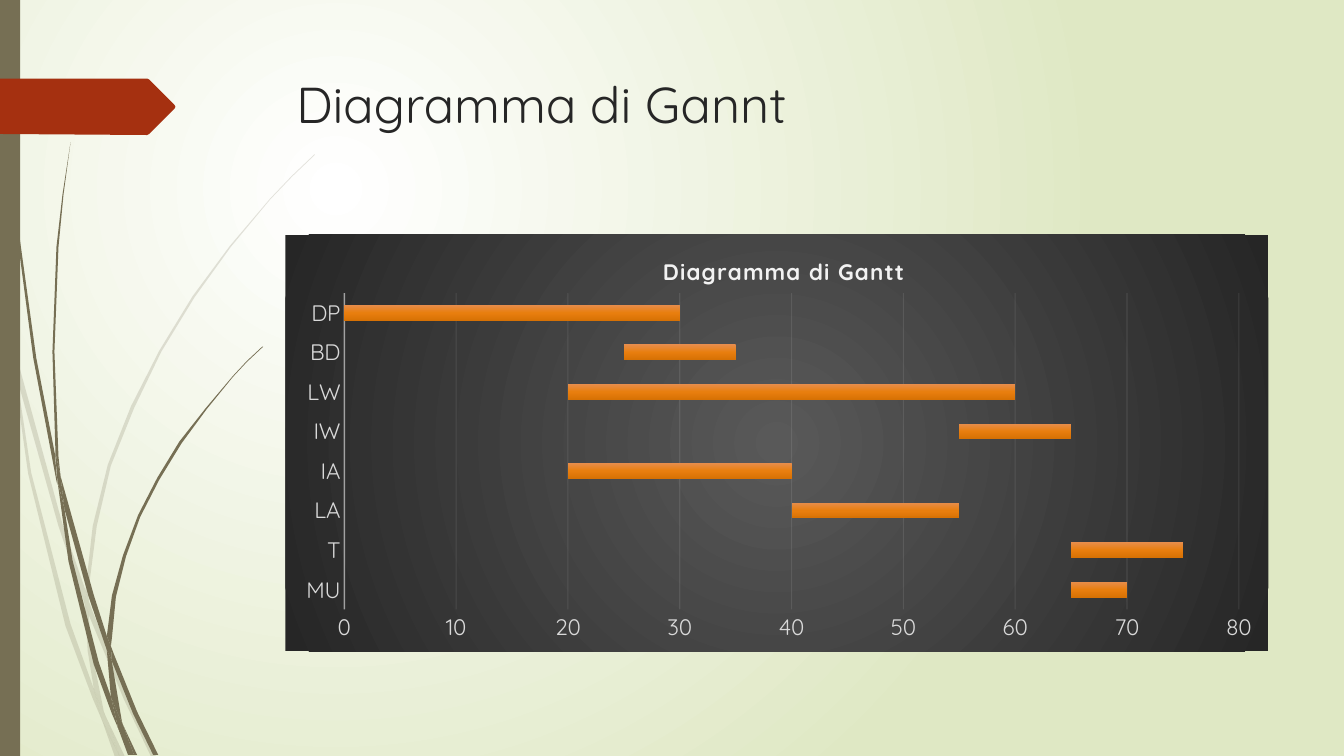
import dataclasses

import pptx
import pptx.chart.data
import pptx.dml.color
import pptx.enum.chart
import pptx.enum.shapes
import pptx.enum.text
import pptx.oxml
import pptx.oxml.ns
import pptx.util
from pptx.util import Inches


@dataclasses.dataclass(frozen=True)
class Theme:
    """Colours, font and type sizes of the slide."""
    font: str = "Quicksand"
    title_size: int = 36
    chart_size: int = 16
    title_ink: str = "262626"
    stem: str = "766F54"
    accent: str = "A53010"
    chart_title: str = "F2F2F2"
    axis_label: str = "D9D9D9"
    background: tuple = ((0, "FFFFFF"), (100, "DFE8C4"))
    chart_area: tuple = ((0, "595959"), (100, "262626"))
    bar: tuple = ((0, "E78D4D"), (50, "E87E0E"), (100, "D77104"))


THEME = Theme()

PALE_GRASS = [
    [(0.11, 3.5), (0.09, 3.22), (0, 2.82), (0, 2.99), (0.1, 3.44)],
    [(0.58, 5.22), (0.84, 5.99), (0.85, 5.86), (0.62, 5.2), (0.14, 3.45), (0.17, 3.76)],
    [(0.92, 6.07), (0.88, 5.96), (0.88, 6.1), (1.23, 6.94), (1.5, 7.51), (1.55, 7.51),
     (1.27, 6.92)],
    [(1.19, 7.51), (1.24, 7.51), (1.05, 7.11)],
    [(0.93, 6.83), (0.7, 6.19), (0.31, 4.69), (0.17, 3.76), (0.11, 3.5), (0.28, 4.7),
     (0.65, 6.21), (0.92, 6.93), (1.01, 7.14), (0.99, 7.07)],
    [(0.84, 5.99), (0.87, 6.46), (0.93, 6.83), (0.96, 6.92), (1.05, 7.11), (1.03, 7.06),
     (0.91, 6.46), (0.88, 6.1), (0.88, 6.08)],
    [(0.88, 5.84), (0.96, 5.22), (1.1, 4.62), (1.33, 4.05), (1.6, 3.49), (1.93, 2.95),
     (2.29, 2.45), (2.68, 1.98), (2.9, 1.75), (3.12, 1.54), (3.12, 1.53), (2.89, 1.75),
     (2.68, 1.97), (2.28, 2.44), (1.91, 2.94), (1.58, 3.48), (1.3, 4.03), (1.07, 4.61),
     (0.92, 5.22), (0.85, 5.84), (0.85, 5.86), (0.88, 5.96)],
    [(1.01, 7.14), (1.14, 7.51), (1.19, 7.51)],
    [(0.88, 6.08), (0.88, 6.1), (0.88, 5.96), (0.85, 5.86), (0.84, 5.99)],
    [(0.96, 6.92), (0.93, 6.83), (0.99, 7.07), (1.01, 7.14), (1.19, 7.51), (1.05, 7.11)],
]

DARK_GRASS = [
    [(0.07, 1.1), (0.17, 2.33), (0.33, 3.55), (0.56, 4.77), (0.57, 4.81), (0.55, 4.57),
     (0.55, 4.53), (0.36, 3.55), (0.19, 2.32), (0.08, 1.09), (0.05, 0.48), (0.04, 0),
     (0.03, 0), (0.04, 0.48)],
    [(0.88, 5.92), (1.06, 6.45), (1.06, 6.33), (1.06, 6.31), (0.93, 5.9), (0.6, 4.72),
     (0.64, 5.05)],
    [(1.13, 6.49), (1.1, 6.41), (1.11, 6.56), (1.32, 7.08), (1.52, 7.49), (1.57, 7.49),
     (1.36, 7.06)],
    [(1.1, 6.91), (0.98, 6.57), (0.72, 5.56), (0.64, 5.05), (0.57, 4.77), (0.68, 5.57),
     (0.93, 6.59), (1.11, 7.08), (1.17, 7.22), (1.16, 7.17)],
    [(0.6, 4.72), (0.58, 4.53), (0.54, 3.49), (0.58, 2.45), (0.63, 1.93), (0.7, 1.41),
     (0.62, 1.93), (0.56, 2.45), (0.52, 3.49), (0.55, 4.49)],
    [(1.33, 7.49), (1.36, 7.49), (1.22, 7.19)],
    [(0.57, 4.77), (0.64, 5.05), (0.6, 4.72), (0.55, 4.49), (0.55, 4.53)],
    [(1.11, 6.33), (1.15, 5.92), (1.25, 5.52), (1.39, 5.13), (1.58, 4.76), (1.8, 4.4),
     (2.05, 4.06), (2.31, 3.74), (2.45, 3.59), (2.61, 3.44), (2.6, 3.44), (2.45, 3.58),
     (2.31, 3.73), (2.04, 4.05), (1.78, 4.38), (1.56, 4.74), (1.37, 5.11), (1.22, 5.51),
     (1.11, 5.91), (1.06, 6.31), (1.1, 6.41)],
    [(1.17, 7.22), (1.27, 7.49), (1.31, 7.49)],
    [(1.06, 6.45), (1.1, 6.91), (1.16, 7.06), (1.22, 7.19), (1.21, 7.16), (1.11, 6.56),
     (1.09, 6.51)],
    [(1.06, 6.45), (1.09, 6.51), (1.11, 6.56), (1.1, 6.41), (1.06, 6.31), (1.06, 6.33)],
    [(1.16, 7.06), (1.1, 6.91), (1.16, 7.17), (1.17, 7.22), (1.3, 7.49), (1.33, 7.49),
     (1.22, 7.19)],
]

TITLE_ARROW = [(0, 0.78), (1.46, 0.78), (1.48, 0.79), (1.73, 1.04), (1.74, 1.06),
               (1.73, 1.08), (1.48, 1.33), (1.46, 1.34), (0, 1.33)]

TASKS = [("MU", 65, 5), ("T", 65, 10), ("LA", 40, 15), ("IA", 20, 20),
         ("IW", 55, 10), ("LW", 20, 40), ("BD", 25, 10), ("DP", 0, 30)]


def rgb(colour):
    """Return the colour object for a hex string."""
    return pptx.dml.color.RGBColor.from_string(colour)


def set_font(font, size, colour, bold=False):
    """Format a font in the theme's typeface."""
    font.name, font.size, font.bold = THEME.font, pptx.util.Pt(size), bold
    font.color.rgb = rgb(colour)


def set_alpha(colour_element, percent):
    """Make a colour partly transparent."""
    alpha = pptx.oxml.parse_xml(
        f'<a:alpha {pptx.oxml.ns.nsdecls("a")} val="{percent * 1000}"/>')
    colour_element.append(alpha)


def gradient(stops, direction):
    """Build a gradient fill from stops and a direction element."""
    stop_xml = "".join(f'<a:gs pos="{position * 1000}"><a:srgbClr val="{colour}"/></a:gs>'
                       for position, colour in stops)
    return pptx.oxml.parse_xml(f'<a:gradFill {pptx.oxml.ns.nsdecls("a")} rotWithShape="1">'
                               f'<a:gsLst>{stop_xml}</a:gsLst>{direction}</a:gradFill>')


def radial(left, top, right, bottom):
    """Describe a circular gradient by its focus rectangle in percent."""
    return (f'<a:path path="circle"><a:fillToRect l="{left * 1000}" t="{top * 1000}" '
            f'r="{right * 1000}" b="{bottom * 1000}"/></a:path>')


def replace_gradient(root, fill):
    """Swap the first gradient under an element for another one."""
    current = root.xpath(".//a:gradFill")[0]
    current.getparent().replace(current, fill)


def paint(shape, colour):
    """Give a shape a flat fill with no line or shadow."""
    shape.shadow.inherit = False
    shape.line.fill.background()
    shape.fill.solid()
    shape.fill.fore_color.rgb = rgb(colour)


def add_outline(shapes, points, colour):
    """Draw a filled polygon through points given in inches."""
    corners = [(Inches(x), Inches(y)) for x, y in points]
    builder = shapes.build_freeform(*corners[0])
    builder.add_line_segments(corners[1:], close=True)
    shape = builder.convert_to_shape()
    paint(shape, colour)
    return shape


def add_grass(slide, blades, opacity=100):
    """Draw a group of grass blades."""
    group = slide.shapes.add_group_shape()
    for points in blades:
        blade = add_outline(group.shapes, points, THEME.stem)
        if opacity < 100:
            set_alpha(blade.element.xpath(".//a:solidFill/a:srgbClr")[0], opacity)


def add_title(slide, text):
    """Place and format the slide title."""
    title = slide.shapes.title
    title.left, title.top, title.width, title.height = map(Inches, (2.84, 0.68, 9.75, 1.4))
    frame = title.text_frame
    frame.text = text
    frame.vertical_anchor = pptx.enum.text.MSO_ANCHOR.TOP
    frame.auto_size = pptx.enum.text.MSO_AUTO_SIZE.NONE
    paragraph = frame.paragraphs[0]
    paragraph.alignment = pptx.enum.text.PP_ALIGN.LEFT
    set_font(paragraph.font, THEME.title_size, THEME.title_ink)


def set_layout(parent, index, target="", **fractions):
    """Fix the place of a chart part by fractions of the chart."""
    for layout in parent.xpath("./c:layout"):
        parent.remove(layout)
    modes = '<c:xMode val="edge"/><c:yMode val="edge"/>'
    values = "".join(f'<c:{name} val="{value}"/>' for name, value in fractions.items())
    parent.insert(index, pptx.oxml.parse_xml(
        f'<c:layout {pptx.oxml.ns.nsdecls("c")}><c:manualLayout>{target}{modes}{values}'
        '</c:manualLayout></c:layout>'))


def style_axis(axis):
    """Format the labels of an axis and drop its ticks."""
    axis.major_tick_mark = axis.minor_tick_mark = pptx.enum.chart.XL_TICK_MARK.NONE
    set_font(axis.tick_labels.font, THEME.chart_size, THEME.axis_label)


def style_line(line, width, colour_path, chart, opacity):
    """Format a translucent chart line."""
    line.width = pptx.util.Pt(width)
    line.color.rgb = rgb(THEME.chart_title)
    set_alpha(chart.element.xpath(colour_path)[0], opacity)


def add_gantt(slide, heading, tasks):
    """Draw tasks as stacked bars behind invisible start offsets."""
    names, starts, durations = zip(*tasks)
    data = pptx.chart.data.CategoryChartData()
    data.categories = names
    data.add_series("Series 1", starts)
    data.add_series("Series 2", durations)
    chart = slide.shapes.add_chart(
        pptx.enum.chart.XL_CHART_TYPE.BAR_STACKED,
        *map(Inches, (2.83, 2.33, 9.75, 4.13)), data).chart
    set_font(chart.font, THEME.chart_size, THEME.axis_label)
    chart.has_legend = False

    plot = chart.plots[0]
    plot.gap_width, plot.overlap, plot.vary_by_categories = 150, 100, False
    offsets, bars = plot.series
    offsets.format.fill.background()
    bars.format.fill.gradient()
    replace_gradient(chart.element, gradient(THEME.bar, '<a:lin ang="5400000" scaled="0"/>'))

    category_axis, value_axis = chart.category_axis, chart.value_axis
    style_axis(category_axis)
    style_axis(value_axis)
    value_axis.minimum_scale, value_axis.maximum_scale, value_axis.major_unit = 0, 80, 10
    value_axis.format.line.fill.background()
    style_line(category_axis.format.line, 1, ".//c:catAx/c:spPr//a:srgbClr", chart, 54)
    style_line(value_axis.major_gridlines.format.line, 0.75,
               ".//c:majorGridlines//a:srgbClr", chart, 10)

    chart.has_title = True
    frame = chart.chart_title.text_frame
    frame.text = heading
    set_font(frame.paragraphs[0].font, THEME.chart_size, THEME.chart_title, bold=True)
    chart.element.xpath(".//c:title//a:defRPr")[0].set("spc", "100")
    set_layout(chart.element.xpath(".//c:title")[0], 1, x=0.38, y=0.04)
    set_layout(chart.element.xpath(".//c:plotArea")[0], 0,
               '<c:layoutTarget val="inner"/>', x=0.06, y=0.14, w=0.91, h=0.76)

    area = pptx.oxml.parse_xml(f'<c:spPr {pptx.oxml.ns.nsdecls("c", "a")}/>')
    area.append(gradient(THEME.chart_area, radial(50, 50, 50, 50)))
    chart.element.xpath("./c:chart")[0].addnext(area)


def main():
    """Build the slide and save it."""
    presentation = pptx.Presentation()
    presentation.slide_width, presentation.slide_height = Inches(13.33), Inches(7.5)
    slide = presentation.slides.add_slide(presentation.slide_layouts[5])
    slide.background.fill.gradient()
    replace_gradient(slide.element, gradient(THEME.background, radial(50, 50, 100, 100)))
    add_grass(slide, PALE_GRASS, opacity=20)
    add_grass(slide, DARK_GRASS)
    band = slide.shapes.add_shape(pptx.enum.shapes.MSO_SHAPE.RECTANGLE,
                                  0, 0, Inches(0.2), Inches(7.5))
    paint(band, THEME.stem)
    add_outline(slide.shapes, TITLE_ARROW, THEME.accent)
    add_title(slide, "Diagramma di Gannt")
    add_gantt(slide, "Diagramma di Gantt", TASKS)
    presentation.save("out.pptx")


if __name__ == "__main__":
    main()
